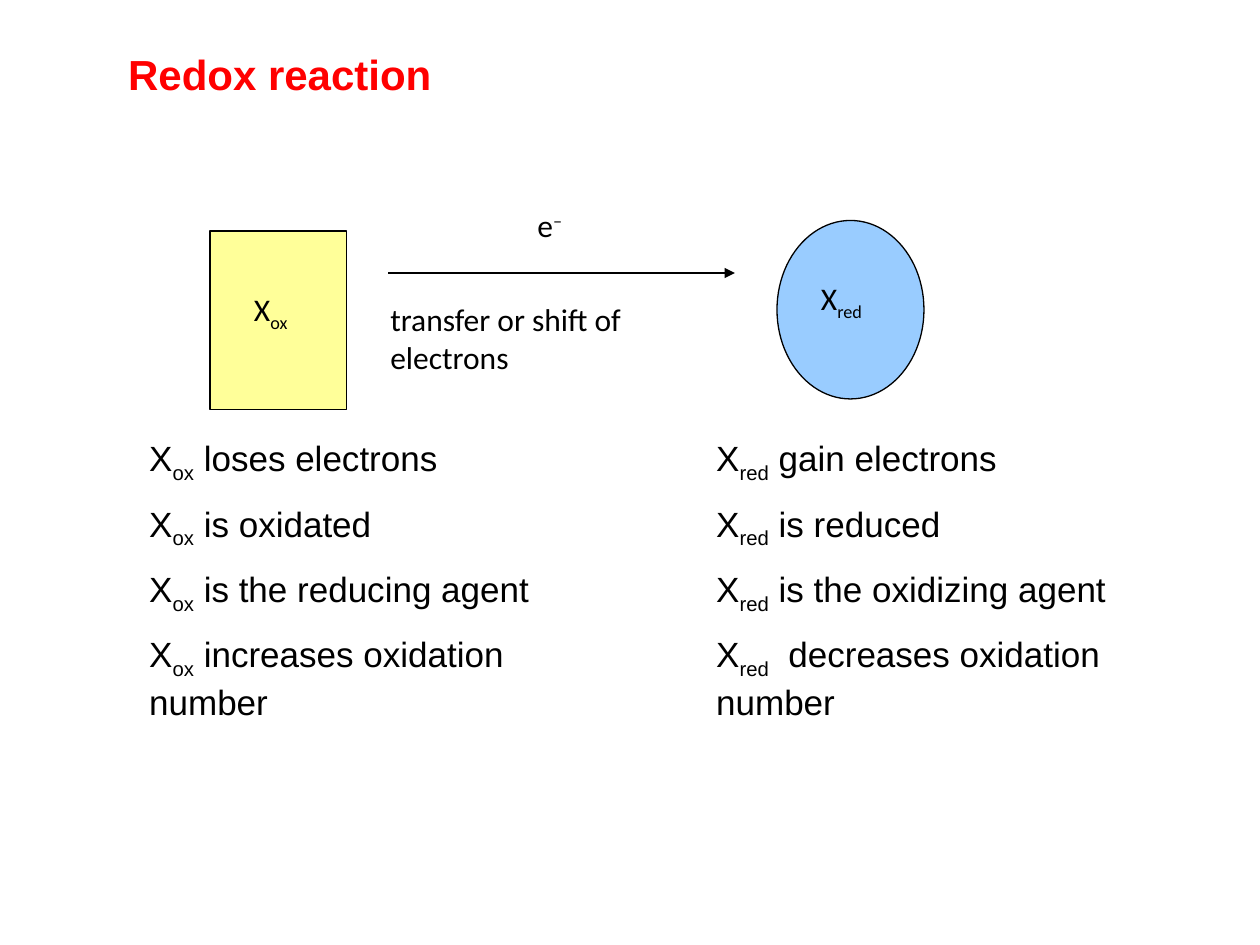
from typing import NamedTuple

from lxml.etree import SubElement as Sub
from pptx import Presentation
from pptx.dml.color import RGBColor as Rgb
from pptx.enum.shapes import MSO_CONNECTOR as Conn, MSO_SHAPE as Kind
from pptx.enum.text import MSO_ANCHOR as Anchor, MSO_AUTO_SIZE as Auto, PP_ALIGN as Align
from pptx.oxml.ns import qn
from pptx.util import Pt

HEX = {"text": "000000", "title": "FF0000", "ox": "FFFF99", "red": "99CCFF"}


class Box(NamedTuple):
    x: float
    y: float
    w: float
    h: float


class Form(NamedTuple):
    kind: Kind
    box: Box
    fill: str


class Label(NamedTuple):
    text: str
    box: Box
    base: int = -25


class Column(NamedTuple):
    sign: str
    box: Box
    facts: list[str]


FORMS = [
    Form(Kind.RECTANGLE, Box(120, 132, 78, 102), "ox"),
    Form(Kind.OVAL, Box(444, 126, 84, 102), "red"),
]
# Text between bars is raised or lowered by the base
LABELS = [
    Label("transfer or shift of electrons", Box(216, 168, 216, 36)),
    Label("e|–|", Box(300, 114, 48, 36), 30),
    Label("X|red|", Box(462, 156, 54, 36)),
    Label("X|ox|", Box(138, 162, 54, 36)),
]
COLUMNS = [
    Column("X|ox|", Box(78, 246, 264, 164), [
        " loses electrons", " is oxidated", " is the reducing agent",
        " increases oxidation number"]),
    Column("X|red|", Box(402, 246, 288, 164), [
        " gain electrons", " is reduced", " is the oxidizing agent",
        "  decreases oxidation number"]),
]


def place(shape, box: Box) -> None:
    shape.left, shape.top, shape.width, shape.height = map(Pt, box)


def write(shape, lines: list[str], *, size: int, face: str = "Arial",
          color: str = "text", bold: bool = False, base: int = -25) -> None:
    frame = shape.text_frame
    frame.word_wrap = True
    frame.auto_size = Auto.NONE
    frame.vertical_anchor = Anchor.TOP
    for i, line in enumerate(lines):
        para = frame.add_paragraph() if i else frame.paragraphs[0]
        props = para._p.get_or_add_pPr()
        props.set("marL", "0")
        props.set("indent", "0")
        Sub(props, qn("a:buNone"))
        para.alignment = Align.LEFT
        para.space_before = Pt(size / 2 if i else 0)
        for j, part in enumerate(line.split("|")):
            if not part:
                continue
            run = para.add_run()
            run.text = part
            font = run.font
            font.name, font.size, font.bold = face, Pt(size), bold
            font.color.rgb = Rgb.from_string(HEX[color])
            if j % 2:
                run._r.get_or_add_rPr().set("baseline", str(base * 1000))


def ink(line) -> None:
    line.color.rgb = Rgb.from_string(HEX["text"])
    line.width = Pt(0.75)


def draw(slide, form: Form) -> None:
    shape = slide.shapes.add_shape(form.kind, *map(Pt, form.box))
    shape.shadow.inherit = False
    shape.fill.solid()
    shape.fill.fore_color.rgb = Rgb.from_string(HEX[form.fill])
    ink(shape.line)


def arrow(slide, x: float, y: float, end: float) -> None:
    link = slide.shapes.add_connector(Conn.STRAIGHT, Pt(x), Pt(y), Pt(end), Pt(y))
    ink(link.line)
    Sub(link.line._get_or_add_ln(), qn("a:tailEnd"), type="triangle")
    Sub(link._element.spPr, qn("a:effectLst"))


def main() -> None:
    deck = Presentation()
    deck.slide_width, deck.slide_height = Pt(720), Pt(540)
    slide = deck.slides.add_slide(deck.slide_layouts.get_by_name("Two Content"))
    title, *bodies = slide.placeholders

    # Title
    place(title, Box(66, 24, 192, 37))
    write(title, ["Redox reaction"], size=24, color="title", bold=True)

    # Facts on each side
    for body, col in zip(bodies, COLUMNS):
        place(body, col.box)
        write(body, [col.sign + fact for fact in col.facts], size=20)

    # Electron transfer diagram
    for form in FORMS:
        draw(slide, form)
    arrow(slide, 222, 156, 420)
    for label in LABELS:
        box = slide.shapes.add_textbox(*map(Pt, label.box))
        write(box, [label.text], size=18, face="Calibri", base=label.base)

    deck.save("out.pptx")


if __name__ == "__main__":
    main()
